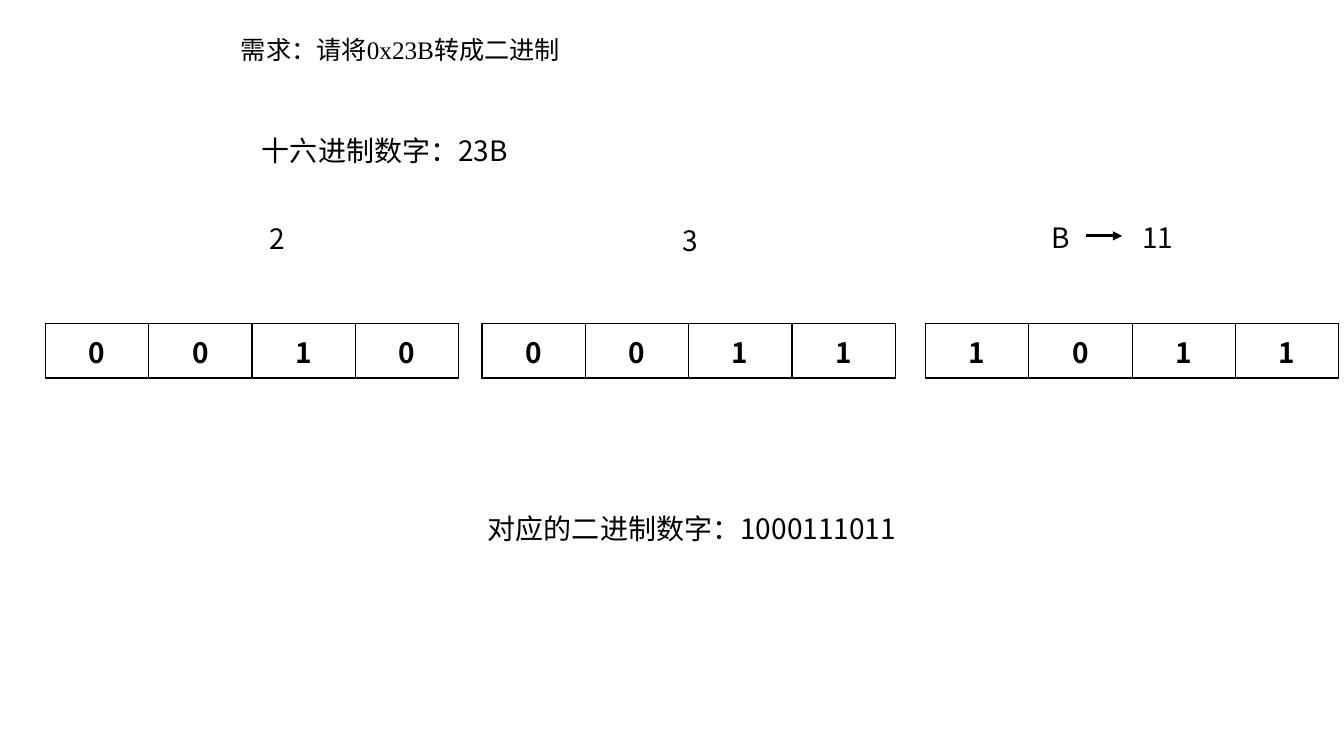
"""Build a slide that converts a hexadecimal number to binary."""
from dataclasses import dataclass

from lxml.etree import SubElement
from pptx import Presentation
from pptx.dml.color import RGBColor
from pptx.enum.shapes import MSO_CONNECTOR as Connector
from pptx.enum.text import MSO_ANCHOR as Anchor, MSO_AUTO_SIZE as AutoSize, PP_ALIGN as Align
from pptx.oxml import parse_xml
from pptx.oxml.ns import nsdecls, qn
from pptx.slide import Slide
from pptx.text.text import TextFrame
from pptx.util import Inches, Pt


@dataclass(frozen=True)
class Theme:
    """Fonts, colours and type sizes of the slide."""
    ink: RGBColor = RGBColor(0, 0, 0)
    paper: RGBColor = RGBColor(255, 255, 255)
    sans: str = "Noto Sans CJK SC"
    serif: str = "Times New Roman"
    body: int = 20
    task: int = 18


@dataclass(frozen=True)
class Label:
    """A line of text and its place in inches."""
    text: str
    left: float
    top: float
    width: float
    height: float = 0.44
    font: str = Theme.sans
    size: int = Theme.body


@dataclass(frozen=True)
class Nibble:
    """Four bits and the left edge of their table."""
    bits: str
    left: float


THEME = Theme()
BITS_TOP, BITS_WIDTH, BITS_HEIGHT = 3.21, 4.1, 0.54
LABELS = [
    Label("需求：请将0x23B转成二进制", 2.29, 0.29, 3.68, 0.4, THEME.serif, THEME.task),
    Label("十六进制数字：23B", 2.5, 1.28, 3.27),
    Label("2", 2.57, 2.15, 0.33),
    Label("3", 6.67, 2.17, 0.33),
    Label("B", 10.33, 2.14, 0.33),
    Label("11", 11.23, 2.14, 0.58),
    Label("对应的二进制数字：1000111011", 4.74, 5.03, 4.52),
]
NIBBLES = [Nibble("0010", 0.45), Nibble("0011", 4.78), Nibble("1011", 9.18)]


def write(frame: TextFrame, text: str, *, font: str = THEME.sans, size: int = THEME.body,
          bold: bool = False, align: Align = Align.LEFT) -> None:
    """Write one formatted line into a text frame."""
    para = frame.paragraphs[0]
    para.alignment = align
    span = para.add_run()
    span.text = text
    span.font.size = Pt(size)
    span.font.bold = bold
    span.font.color.rgb = THEME.ink
    span.font.name = font
    SubElement(span._r.get_or_add_rPr(), qn("a:ea"), typeface=THEME.sans)


def add_label(page: Slide, label: Label) -> None:
    """Add a text box for a label."""
    box = page.shapes.add_textbox(Inches(label.left), Inches(label.top),
                                  Inches(label.width), Inches(label.height))
    box.fill.solid()
    box.fill.fore_color.rgb = THEME.paper
    box.text_frame.word_wrap = True
    box.text_frame.auto_size = AutoSize.SHAPE_TO_FIT_TEXT
    write(box.text_frame, label.text, font=label.font, size=label.size)


def add_nibble(page: Slide, nibble: Nibble) -> None:
    """Add a one-row table with a bordered cell for each bit."""
    table = page.shapes.add_table(1, len(nibble.bits), Inches(nibble.left), Inches(BITS_TOP),
                                  Inches(BITS_WIDTH), Inches(BITS_HEIGHT)).table
    table.first_row = table.horz_banding = False
    for cell, bit in zip(table.iter_cells(), nibble.bits):
        cell.vertical_anchor = Anchor.MIDDLE
        cell.fill.solid()
        cell.fill.fore_color.rgb = THEME.paper
        write(cell.text_frame, bit, bold=True, align=Align.CENTER)
        for index, side in enumerate("LRTB"):
            border = parse_xml(f'<a:ln{side} {nsdecls("a")} w="{Pt(1)}"><a:solidFill>'
                               f'<a:srgbClr val="{THEME.ink}"/></a:solidFill></a:ln{side}>')
            cell._tc.get_or_add_tcPr().insert(index, border)


def add_arrow(page: Slide, left: float, right: float, top: float) -> None:
    """Add a horizontal arrow pointing right."""
    arrow = page.shapes.add_connector(Connector.STRAIGHT, Inches(left), Inches(top),
                                      Inches(right), Inches(top))
    arrow.line.color.rgb = THEME.ink
    arrow.line.width = Pt(2.25)
    SubElement(arrow.line._get_or_add_ln(), qn("a:tailEnd"), type="triangle")
    SubElement(arrow._element.spPr, qn("a:effectLst"))


def main() -> None:
    """Build and save the deck."""
    deck = Presentation()
    deck.slide_width, deck.slide_height = Inches(13.33), Inches(7.5)
    page = deck.slides.add_slide(deck.slide_layouts[6])
    for label in LABELS:
        add_label(page, label)
    add_arrow(page, 10.77, 11.13, 2.34)
    for nibble in NIBBLES:
        add_nibble(page, nibble)
    deck.save("out.pptx")


if __name__ == "__main__":
    main()
